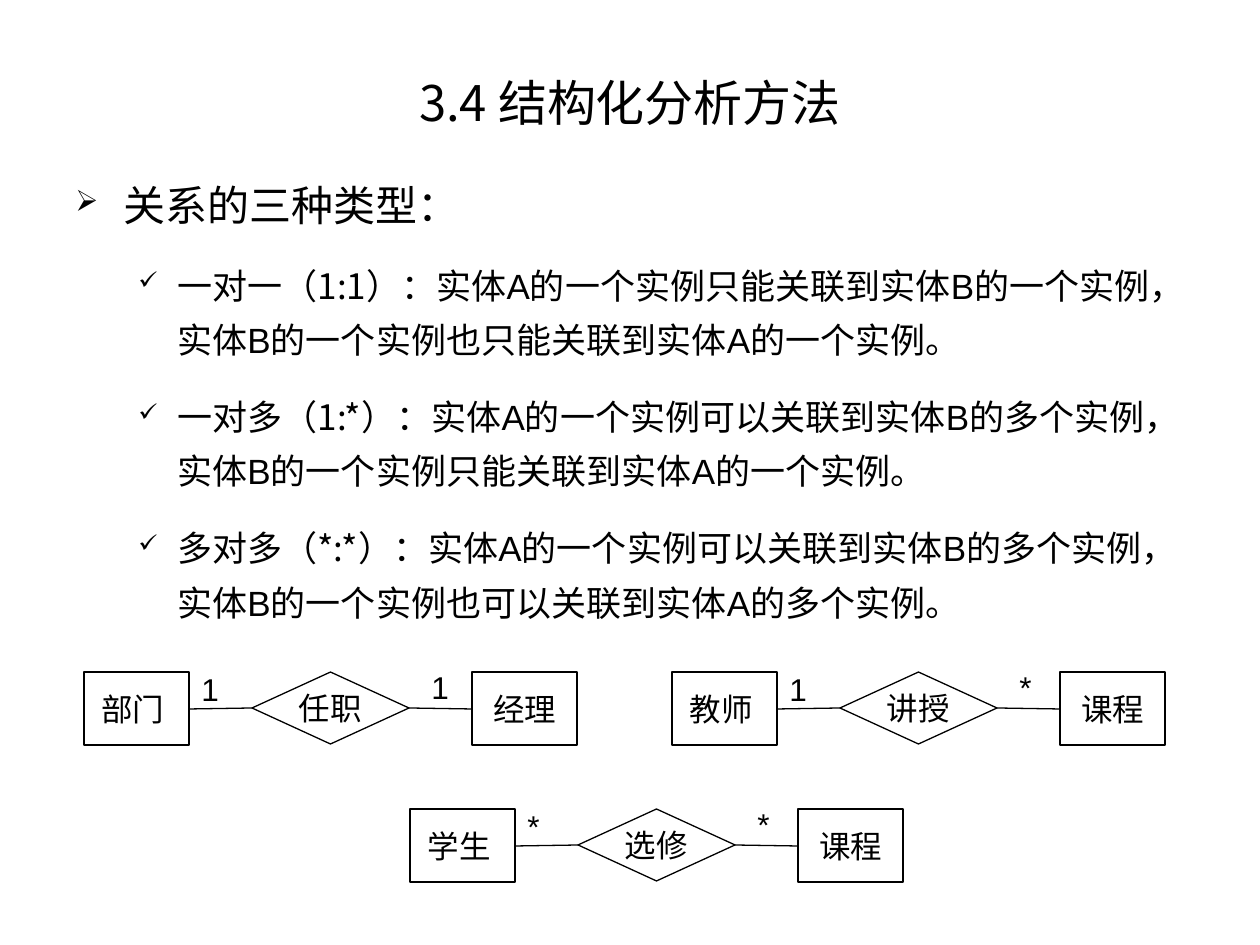
from dataclasses import dataclass

from lxml import etree
from pptx import Presentation
from pptx.dml.color import RGBColor
from pptx.enum.shapes import MSO_CONNECTOR, MSO_SHAPE
from pptx.enum.text import MSO_ANCHOR, PP_ALIGN
from pptx.oxml.ns import qn
from pptx.util import Emu, Pt

BLACK = RGBColor(0, 0, 0)
WHITE = RGBColor(255, 255, 255)
SANS = "Arial"
CJK = "Noto Sans CJK SC"
LEFT, CENTER = PP_ALIGN.LEFT, PP_ALIGN.CENTER
TOP, MIDDLE = MSO_ANCHOR.TOP, MSO_ANCHOR.MIDDLE
RECTANGLE, DIAMOND = MSO_SHAPE.RECTANGLE, MSO_SHAPE.DIAMOND
STRAIGHT = MSO_CONNECTOR.STRAIGHT

EMU_PER_PX = 914400 / 126
ENTITY_W, ENTITY_H = 105, 73
RELATION_W, RELATION_H = 157, 72
GAP = 63


@dataclass(frozen=True)
class Bullet:
    mark: str
    level: int
    margin: int
    hanging: int
    space_before: float


@dataclass(frozen=True)
class Relationship:
    x: int
    y: int
    source: str
    relation: str
    target: str
    source_count: str
    target_count: str


HEADING = Bullet("➢", 0, 48, 48, 15)
ITEM = Bullet("✓", 1, 102, 39, 12.5)

# Each line has a part set in the CJK font and a part with Arial letters
TYPES = [
    ("一对一（1:1）：实体",
     "A的一个实例只能关联到实体B的一个实例，实体B的一个实例也只能关联到实体A的一个实例。"),
    ("一对多（1:*）：实体",
     "A的一个实例可以关联到实体B的多个实例，实体B的一个实例只能关联到实体A的一个实例。"),
    ("多对多（*:*）：",
     "实体A的一个实例可以关联到实体B的多个实例，实体B的一个实例也可以关联到实体A的多个实例。"),
]

# A trailing space sets the source names slightly left of centre
RELATIONSHIPS = [
    Relationship(84, 672, "部门 ", "任职", "经理", "1", "1"),
    Relationship(410, 809, "学生 ", "选修", "课程", "*", "*"),
    Relationship(672, 672, "教师 ", "讲授", "课程", "1", "*"),
]


def px(length: int) -> Emu:
    return Emu(round(length * EMU_PER_PX))


def write(paragraph, text: str, *, size: float = 18, font: str = SANS,
          align=LEFT) -> None:
    paragraph.alignment = align
    run = paragraph.add_run()
    run.text = text
    run.font.size = Pt(size)
    run.font.name = font
    run.font.color.rgb = BLACK
    etree.SubElement(run._r.get_or_add_rPr(), qn("a:ea"), typeface=CJK)


def add_box(slide, x: int, y: int, width: int, height: int, *,
            wrap: bool = False, anchor=TOP):
    box = slide.shapes.add_textbox(px(x), px(y), px(width), px(height))
    box.text_frame.word_wrap = wrap
    box.text_frame.vertical_anchor = anchor
    return box.text_frame


def set_bullet(paragraph, bullet: Bullet) -> None:
    paragraph.level = bullet.level
    paragraph.line_spacing = 1.3
    paragraph.space_before = Pt(bullet.space_before)
    properties = paragraph._p.get_or_add_pPr()
    properties.set("marL", str(px(bullet.margin)))
    properties.set("indent", str(-px(bullet.hanging)))
    color = etree.SubElement(properties, qn("a:buClr"))
    etree.SubElement(color, qn("a:srgbClr"), val=str(BLACK))
    etree.SubElement(properties, qn("a:buSzPct"), val="70000")
    etree.SubElement(properties, qn("a:buChar"), char=bullet.mark)


def add_node(slide, kind, x: int, y: int, width: int, height: int,
             label: str) -> None:
    node = slide.shapes.add_shape(kind, px(x), px(y), px(width), px(height))
    node.shadow.inherit = False
    node.fill.solid()
    node.fill.fore_color.rgb = WHITE
    node.line.color.rgb = BLACK
    node.line.width = Pt(0.75)
    node.text_frame.word_wrap = False
    node.text_frame.vertical_anchor = MIDDLE
    write(node.text_frame.paragraphs[0], label, align=CENTER)


def add_line(slide, x1: int, y1: int, x2: int, y2: int) -> None:
    line = slide.shapes.add_connector(STRAIGHT, px(x1), px(y1), px(x2), px(y2))
    line.line.color.rgb = BLACK
    line.line.width = Pt(0.75)
    etree.SubElement(line._element.spPr, qn("a:effectLst"))


def add_count(slide, x: int, y: int, count: str) -> None:
    width = 43 if count == "1" else 37
    write(add_box(slide, x, y, width, 50).paragraphs[0], count)


def add_relationship(slide, item: Relationship) -> None:
    source_right = item.x + ENTITY_W
    relation_left = source_right + GAP
    relation_right = relation_left + RELATION_W
    target_left = relation_right + GAP
    middle = item.y + RELATION_H // 2

    add_node(slide, DIAMOND, relation_left, item.y, RELATION_W, RELATION_H,
             item.relation)
    for x, name in ((item.x, item.source), (target_left, item.target)):
        add_node(slide, RECTANGLE, x, item.y, ENTITY_W, ENTITY_H, name)
    add_line(slide, relation_left, middle, source_right, middle + 1)
    add_line(slide, relation_right, middle, target_left, middle + 1)
    add_count(slide, source_right, item.y - 8, item.source_count)
    add_count(slide, relation_right + 10, item.y - 10, item.target_count)


def main() -> None:
    deck = Presentation()
    deck.slide_width, deck.slide_height = px(1260), px(945)
    slide = deck.slides.add_slide(deck.slide_layouts[6])

    # Title
    title = add_box(slide, 63, 53, 1134, 98, wrap=True, anchor=MIDDLE)
    write(title.paragraphs[0], "3.4 结构化分析方法", size=28, font=CJK,
          align=CENTER)

    # Relationship types
    body = add_box(slide, 63, 158, 1134, 714, wrap=True)
    heading = body.paragraphs[0]
    set_bullet(heading, HEADING)
    write(heading, "关系的三种类型：", size=24, font=CJK)
    for name, meaning in TYPES:
        paragraph = body.add_paragraph()
        set_bullet(paragraph, ITEM)
        write(paragraph, name, size=20, font=CJK)
        write(paragraph, meaning, size=20)

    # Entity-relationship diagrams
    for relationship in RELATIONSHIPS:
        add_relationship(slide, relationship)

    deck.save("out.pptx")


if __name__ == "__main__":
    main()
